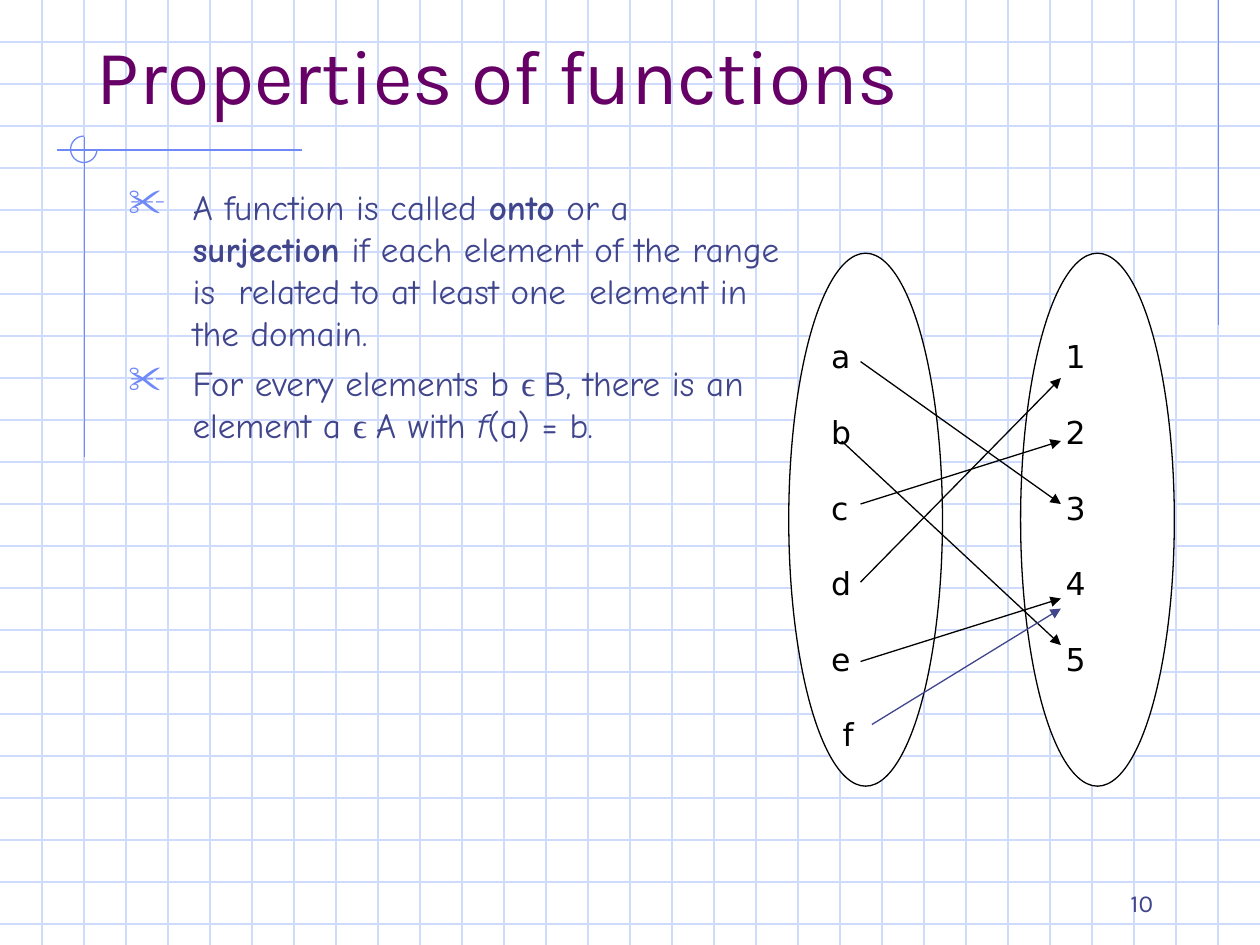
"""Builds the slide about onto functions, with its mapping diagram."""

from dataclasses import dataclass

from lxml.etree import SubElement
from pptx import Presentation
from pptx.dml.color import RGBColor
from pptx.enum.shapes import MSO_CONNECTOR, MSO_SHAPE
from pptx.enum.text import MSO_ANCHOR, PP_ALIGN
from pptx.oxml.ns import qn
from pptx.slide import Slide
from pptx.text.text import TextFrame, _Paragraph, _Run
from pptx.util import Inches, Pt

COLORS = {
    "paper": "FFFFFF",
    "grid": "CFDBFD",
    "accent": "6F89F7",
    "title": "660066",
    "text": "40458C",
    "diagram": "000000",
}
WIDTH, HEIGHT = 10, 7.5
CELLS_PER_INCH = 3


@dataclass
class Span:
    text: str
    font: str = "Comic Neue"
    bold: bool = False
    italic: bool = False


@dataclass
class Line:
    start: tuple[float, float]
    end: tuple[float, float]
    color: str = "diagram"
    arrow: bool = False


@dataclass
class Label:
    text: str
    indent: float


@dataclass
class Oval:
    left: float
    labels: list[Label]


EPSILON = Span("ϵ ", "Times New Roman")
BULLETS = [
    [
        Span("A function is called "),
        Span("onto", bold=True),
        Span(" or a "),
        Span("surjection", bold=True),
        Span(" if each element of the range is  related to at least one  element in the domain."),
    ],
    [
        Span("For every elements b "),
        EPSILON,
        Span("B, there is an element a "),
        EPSILON,
        Span("A with "),
        Span("f", italic=True),
        Span("(a) = b."),
    ],
]
OVALS = [
    Oval(6.26, [Label(letter, 0.06) for letter in "abcde"] + [Label("f", 0.15)]),
    Oval(8.1, [Label(digit, 0.08) for digit in "12345"]),
]
RULES = [
    Line((9.67, 0), (9.67, 2.58), "accent"),
    Line((2.4, 1.19), (0.45, 1.19), "accent"),
    Line((0.67, 1.09), (0.67, 3.63), "accent"),
]
MAPPINGS = [
    Line((6.83, 2.87), (8.42, 4), arrow=True),
    Line((6.83, 4), (8.42, 3.5), arrow=True),
    Line((6.83, 4.62), (8.42, 3), arrow=True),
    Line((6.68, 3.5), (8.42, 5.12), arrow=True),
    Line((6.83, 5.25), (8.42, 4.75), arrow=True),
    Line((6.92, 5.75), (8.42, 4.83), "text", arrow=True),
]


def rgb(name: str) -> RGBColor:
    return RGBColor.from_string(COLORS[name])


def style(run: _Run, font: str, size: float, color: str) -> None:
    run.font.name = font
    run.font.size = Pt(size)
    run.font.color.rgb = rgb(color)


def draw_line(page: Slide, line: Line) -> None:
    points = [Inches(value) for value in (*line.start, *line.end)]
    connector = page.shapes.add_connector(MSO_CONNECTOR.STRAIGHT, *points)
    connector.line.color.rgb = rgb(line.color)
    connector.line.width = Pt(0.75)
    if line.arrow:
        outline = connector.line._get_or_add_ln()
        SubElement(outline, qn("a:tailEnd"), type="triangle")
    SubElement(connector._element.spPr, qn("a:effectLst"))


def draw_grid(page: Slide) -> None:
    for row in range(1, int(HEIGHT * CELLS_PER_INCH) + 1):
        y = row / CELLS_PER_INCH
        draw_line(page, Line((0, y), (WIDTH, y), "grid"))
    for column in range(1, WIDTH * CELLS_PER_INCH):
        x = column / CELLS_PER_INCH
        draw_line(page, Line((x, 0), (x, HEIGHT), "grid"))


def draw_arc(page: Slide) -> None:
    arc = page.shapes.add_shape(
        MSO_SHAPE.ARC, Inches(0.56), Inches(1.08), Inches(0.21), Inches(0.21)
    )
    arc.adjustments[0] = 0
    arc.adjustments[1] = 162
    arc.shadow.inherit = False
    arc.fill.background()
    arc.line.color.rgb = rgb("accent")
    arc.line.width = Pt(0.75)


def add_box(page: Slide, left: float, top: float, width: float, height: float) -> TextFrame:
    box = page.shapes.add_textbox(Inches(left), Inches(top), Inches(width), Inches(height))
    box.text_frame.word_wrap = True
    return box.text_frame


def next_paragraph(frame: TextFrame, index: int, pitch: float, gap: float) -> _Paragraph:
    para = frame.add_paragraph() if index else frame.paragraphs[0]
    para.line_spacing = Pt(pitch)
    if index:
        para.space_before = Pt(gap)
    return para


def draw_heading(page: Slide) -> None:
    frame = add_box(page, 0.67, 0.33, 9, 0.67)
    frame.vertical_anchor = MSO_ANCHOR.BOTTOM
    frame.text = "Properties of functions"
    style(frame.paragraphs[0].runs[0], "Karla", 44, "title")


def draw_page_number(page: Slide) -> None:
    frame = add_box(page, 7.17, 7.08, 2.08, 0.25)
    frame.vertical_anchor = MSO_ANCHOR.BOTTOM
    frame.text = "10"
    frame.paragraphs[0].alignment = PP_ALIGN.RIGHT
    style(frame.paragraphs[0].runs[0], "Karla", 14, "text")


def draw_bullets(page: Slide) -> None:
    frame = add_box(page, 0.92, 1.42, 5.39, 5.42)
    for index, spans in enumerate(BULLETS):
        para = next_paragraph(frame, index, 24, 5)
        properties = para._p.get_or_add_pPr()
        properties.set("marL", str(Inches(0.51)))
        properties.set("indent", str(Inches(-0.51)))
        color = SubElement(properties, qn("a:buClr"))
        SubElement(color, qn("a:srgbClr"), val=COLORS["accent"])
        SubElement(properties, qn("a:buSzPct"), val="110000")
        SubElement(properties, qn("a:buChar"), char="✂")
        for span in spans:
            run = para.add_run()
            run.text = span.text
            style(run, span.font, 20, "text")
            run.font.bold = span.bold
            run.font.italic = span.italic


def draw_oval(page: Slide, oval: Oval) -> None:
    shape = page.shapes.add_shape(
        MSO_SHAPE.OVAL, Inches(oval.left), Inches(2.01), Inches(1.22), Inches(4.23)
    )
    shape.shadow.inherit = False
    shape.fill.solid()
    shape.fill.fore_color.rgb = rgb("paper")
    shape.line.color.rgb = rgb("diagram")
    shape.line.width = Pt(0.75)
    frame = shape.text_frame
    frame.vertical_anchor = MSO_ANCHOR.TOP
    for index, label in enumerate(oval.labels):
        para = next_paragraph(frame, index, 21.6, 21.6)
        para.text = label.text
        para.alignment = PP_ALIGN.LEFT
        para._p.get_or_add_pPr().set("marL", str(Inches(label.indent)))
        style(para.runs[0], "DejaVu Sans", 18, "diagram")


def main() -> None:
    deck = Presentation()
    deck.slide_width, deck.slide_height = Inches(WIDTH), Inches(HEIGHT)
    page = deck.slides.add_slide(deck.slide_layouts[6])
    draw_grid(page)
    for rule in RULES:
        draw_line(page, rule)
    draw_arc(page)
    draw_page_number(page)
    draw_heading(page)
    draw_bullets(page)
    for oval in OVALS:
        draw_oval(page, oval)
    for mapping in MAPPINGS:
        draw_line(page, mapping)
    deck.save("out.pptx")


if __name__ == "__main__":
    main()
